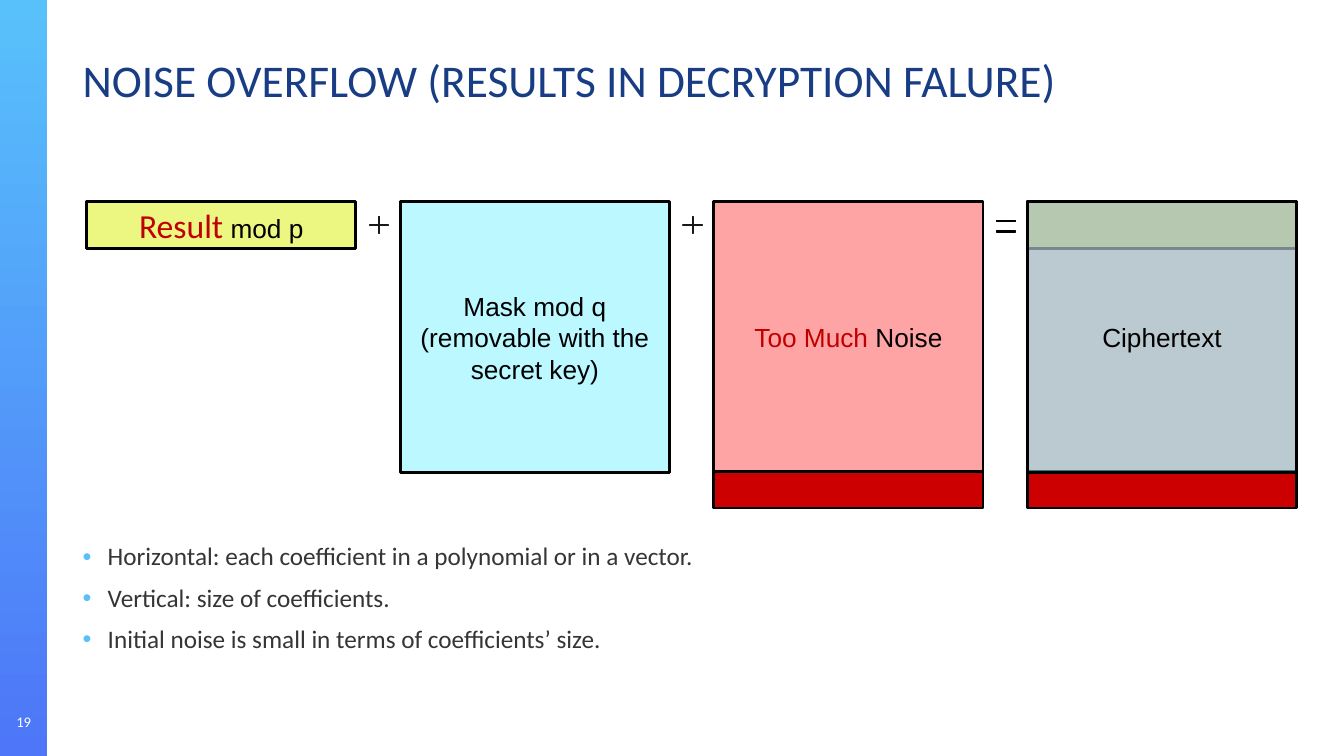
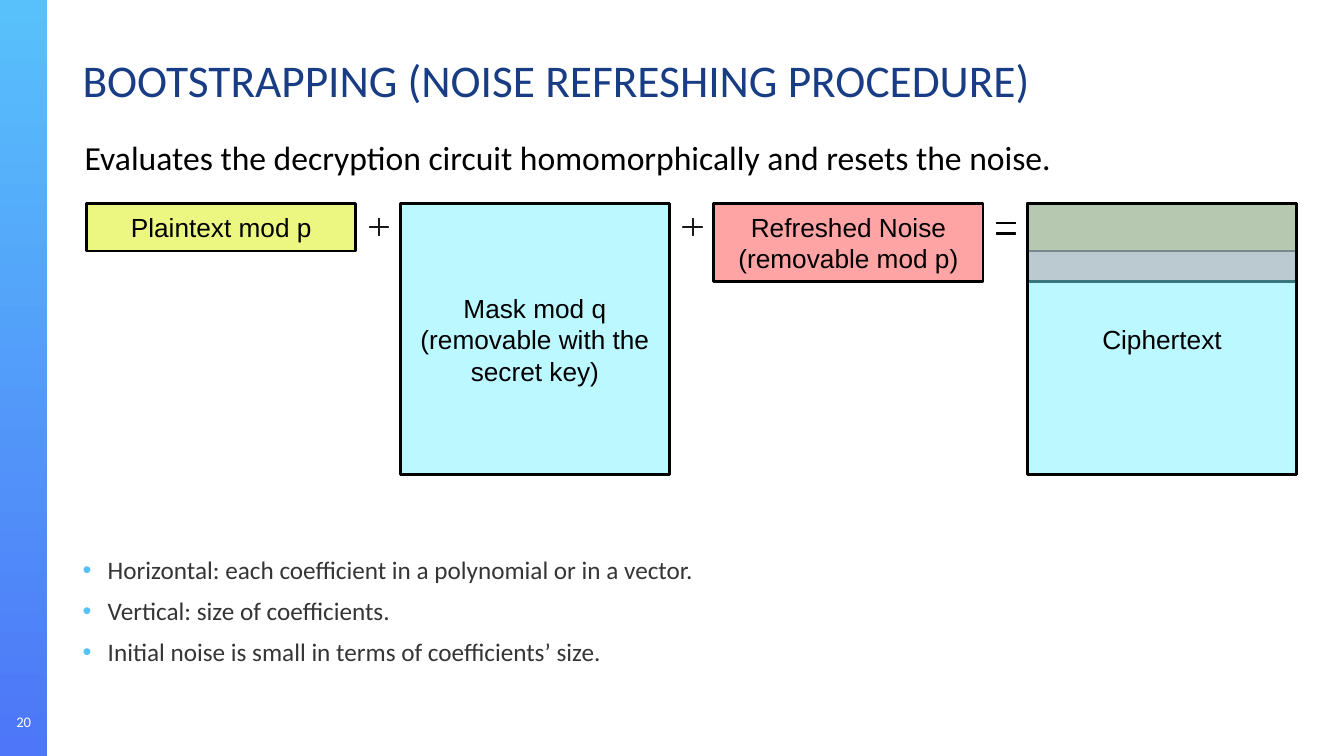
from collections import namedtuple

from lxml import etree
from pptx import Presentation
from pptx import util as u
from pptx.dml.color import RGBColor
from pptx.enum import shapes, text
from pptx.oxml.ns import qn

PX = 9144
WIDTH, HEIGHT, BAND = 1333, 750, 47
SKY = RGBColor(0x58, 0xC1, 0xFB)
BLUE = RGBColor(0x4D, 0x76, 0xF8)
NAVY = RGBColor(0x19, 0x3D, 0x84)
GREY = RGBColor(0x35, 0x35, 0x35)
BLACK = RGBColor(0x00, 0x00, 0x00)
INK = RGBColor(0x18, 0x18, 0x18)
WHITE = RGBColor(0xFF, 0xFF, 0xFF)
ALERT = RGBColor(0xC0, 0x00, 0x00)
OVERFLOW = RGBColor(0xCC, 0x00, 0x00)
NOISE = RGBColor(0xFF, 0x47, 0x47)
MESSAGE = RGBColor(0xDA, 0xF0, 0x00)
MASK = RGBColor(0x75, 0xF2, 0xFF)

Span = namedtuple("Span", "text size font color", defaults=(18.7, "Arial", BLACK))
Layer = namedtuple("Layer", "color top height lines opacity", defaults=((), 49))
PLUS = (shapes.MSO_SHAPE.MATH_PLUS, 12, 23, (0.022,), SKY, INK)
EQUAL = (shapes.MSO_SHAPE.MATH_EQUAL, 3, 43, (0.022, 0.224), BLACK, BLACK)
OPERATORS = (PLUS, PLUS, EQUAL)
TERM_WIDTH, TERM_PITCH, TERM_HEIGHT, MESSAGE_HEIGHT = 267, 311, 269, 47
OPERATOR_OFFSET, OPERATOR_WIDTH = 277, 26
MASK_TERM = [Layer(MASK, 0, TERM_HEIGHT, [
    [Span("Mask mod q")], [Span("(removable with the secret key)")]])]
CIPHERTEXT = Layer(MASK, 0, TERM_HEIGHT, [[Span("Ciphertext")]])
BARE_MESSAGE = Layer(MESSAGE, 0, MESSAGE_HEIGHT)
REMARKS = (
    "Horizontal: each coefficient in a polynomial or in a vector.",
    "Vertical: size of coefficients.",
    "Initial noise is small in terms of coefficients’ size.",
)


def px(*lengths):
    """Turn pixel lengths into EMU."""
    return [u.Emu(length * PX) for length in lengths]


def write(shape, lines, insets=(10, 5), align=text.PP_ALIGN.LEFT,
          anchor=text.MSO_ANCHOR.MIDDLE):
    """Fill a shape with paragraphs of spans and return the paragraphs."""
    frame = shape.text_frame
    frame.word_wrap = True
    frame.vertical_anchor = anchor
    frame.margin_left = frame.margin_right = insets[0] * PX
    frame.margin_top = frame.margin_bottom = insets[1] * PX
    for index, spans in enumerate(lines):
        para = frame.add_paragraph() if index else frame.paragraphs[0]
        para.alignment = align
        for span in spans:
            run = para.add_run()
            run.text = span.text
            run.font.size = u.Pt(span.size)
            run.font.name = span.font
            run.font.color.rgb = span.color
    return frame.paragraphs


def add_figure(page, kind, box, fill, line, weight):
    """Add a filled and outlined preset shape without shadow."""
    shape = page.shapes.add_shape(kind, *px(*box))
    shape.shadow.inherit = False
    shape.fill.solid()
    shape.fill.fore_color.rgb = fill
    shape.line.color.rgb = line
    shape.line.width = u.Pt(weight)
    return shape


def add_band(page, box, number):
    """Draw the gradient side band with the slide number near its foot."""
    left, top, width, height = box
    band = page.shapes.add_shape(shapes.MSO_SHAPE.RECTANGLE, *px(*box))
    band.shadow.inherit = False
    band.line.fill.background()
    band.fill.gradient()
    band.fill.gradient_angle = 270
    for stop, color in zip(band.fill.gradient_stops, (SKY, BLUE)):
        stop.color.rgb = color
    label = page.shapes.add_textbox(*px(left, top + height - 54, width, 40))
    write(label, [[Span(str(number), 10.5, "Calibri", WHITE)]],
          align=text.PP_ALIGN.CENTER)


def add_title(page, box, title):
    """Place the slide title."""
    holder = page.shapes.add_textbox(*px(*box))
    para, = write(holder, [[Span(title, 32.4, "Calibri", NAVY)]])
    para.line_spacing = 0.9


def add_lead(page, box, sentence):
    """Place the sentence that introduces the equation."""
    holder = page.shapes.add_textbox(*px(*box))
    write(holder, [[Span(sentence, 24, "Calibri")]], insets=(13, 13))


def add_layer(page, left, top, layer):
    """Draw one translucent or solid layer of an equation term."""
    box = (left, top + layer.top, TERM_WIDTH, layer.height)
    shape = add_figure(page, shapes.MSO_SHAPE.RECTANGLE, box, layer.color, BLACK, 2)
    if layer.opacity < 100:
        color = shape.fill._xPr.find(qn("a:solidFill"))[0]
        etree.SubElement(color, qn("a:alpha"), val=str(layer.opacity * 1000))
    if layer.lines:
        write(shape, layer.lines, insets=(13, 7), align=text.PP_ALIGN.CENTER)


def add_equation(page, left, top, terms):
    """Draw the terms in a row with an operator in each gap."""
    for index, layers in enumerate(terms):
        for layer in layers:
            add_layer(page, left + index * TERM_PITCH, top, layer)
    for index, (kind, drop, height, adjustments, fill, line) in enumerate(OPERATORS):
        box = (left + index * TERM_PITCH + OPERATOR_OFFSET, top + drop,
               OPERATOR_WIDTH, height)
        sign = add_figure(page, kind, box, fill, line, 1)
        for position, value in enumerate(adjustments):
            sign.adjustments[position] = value


def add_remarks(page, box):
    """Place the bulleted reading guide."""
    holder = page.shapes.add_textbox(*px(*box))
    lines = [[Span(remark, 18, "Calibri", GREY)] for remark in REMARKS]
    paras = write(holder, lines, anchor=text.MSO_ANCHOR.TOP)
    for index, para in enumerate(paras):
        para.line_spacing = 0.9
        if index:
            para.space_before = u.Pt(10)
        props = para._p.get_or_add_pPr()
        props.set("marL", str(25 * PX))
        props.set("indent", str(-25 * PX))
        tint = etree.SubElement(props, qn("a:buClr"))
        etree.SubElement(tint, qn("a:srgbClr"), val=str(SKY))
        etree.SubElement(props, qn("a:buFont"), typeface="Arial")
        etree.SubElement(props, qn("a:buChar"), char="•")


def add_page(deck, number, title, terms, equation_top, remarks_top, lead=None):
    """Build one slide that explains a ciphertext as an equation."""
    page = deck.slides.add_slide(deck.slide_layouts[6])
    add_band(page, (0, 0, BAND, HEIGHT), number)
    add_title(page, (72, 54, 1239, 56), title)
    if lead:
        add_lead(page, (71, 125, 1097, 61), lead)
    add_equation(page, 86, equation_top, terms)
    add_remarks(page, (72, remarks_top, 1239, 130))


def main():
    """Build and save the deck."""
    deck = Presentation()
    deck.slide_width, deck.slide_height = px(WIDTH, HEIGHT)
    excess = Layer(OVERFLOW, 268, 36, opacity=100)
    result = [Span("Result", 24, "Calibri", ALERT), Span(" mod p")]
    too_much = [Span("Too Much", color=ALERT), Span(" Noise")]
    add_page(deck, 19, "NOISE OVERFLOW (RESULTS IN DECRYPTION FALURE)", [
        [Layer(MESSAGE, 0, MESSAGE_HEIGHT, [result])],
        MASK_TERM,
        [Layer(NOISE, 0, TERM_HEIGHT, [too_much]), excess],
        [BARE_MESSAGE, Layer(NOISE, 0, TERM_HEIGHT), excess, CIPHERTEXT],
    ], equation_top=200, remarks_top=535)
    refreshed = [[Span("Refreshed Noise")], [Span("(removable mod p)")]]
    add_page(deck, 20, "BOOTSTRAPPING (NOISE REFRESHING PROCEDURE)", [
        [Layer(MESSAGE, 0, MESSAGE_HEIGHT, [[Span("Plaintext mod p")]])],
        MASK_TERM,
        [Layer(NOISE, 0, 77, refreshed)],
        [BARE_MESSAGE, Layer(NOISE, 0, 77), CIPHERTEXT],
    ], equation_top=202, remarks_top=548,
        lead="Evaluates the decryption circuit homomorphically and resets the noise.")
    deck.save("out.pptx")


if __name__ == "__main__":
    main()
